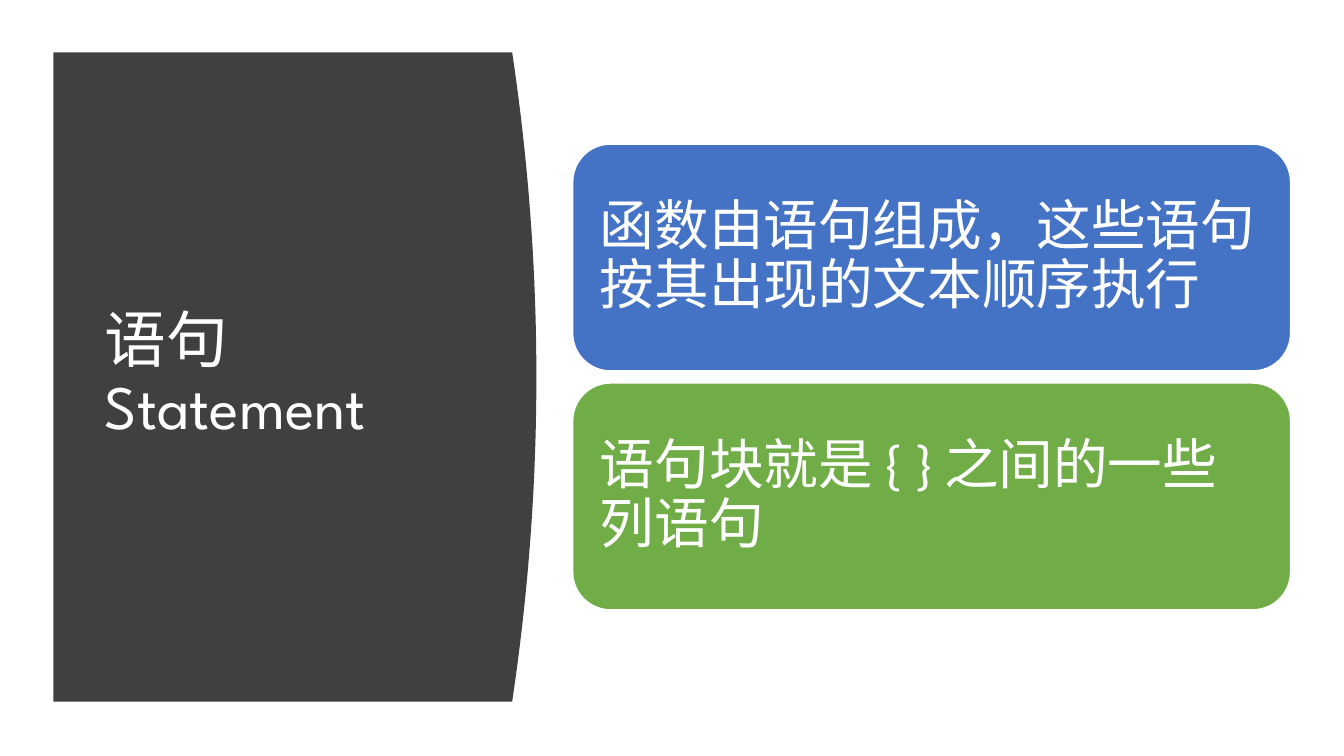
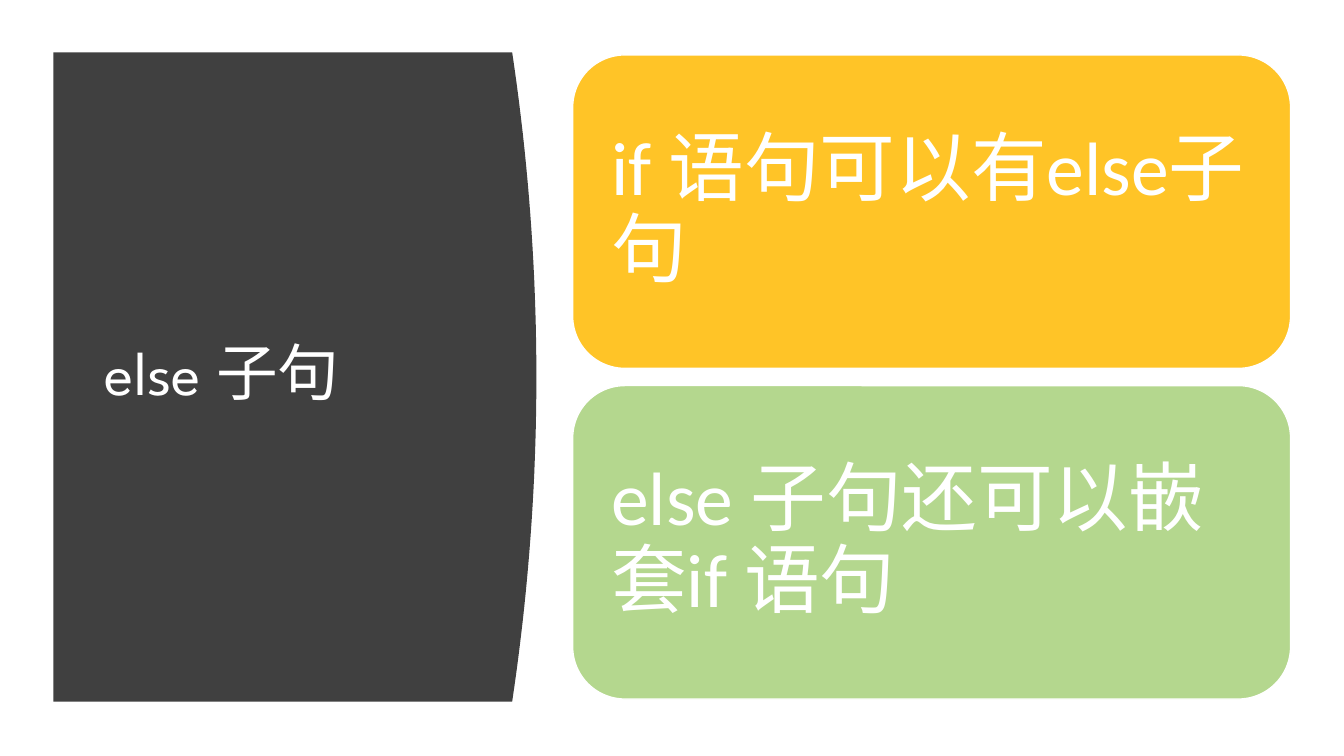
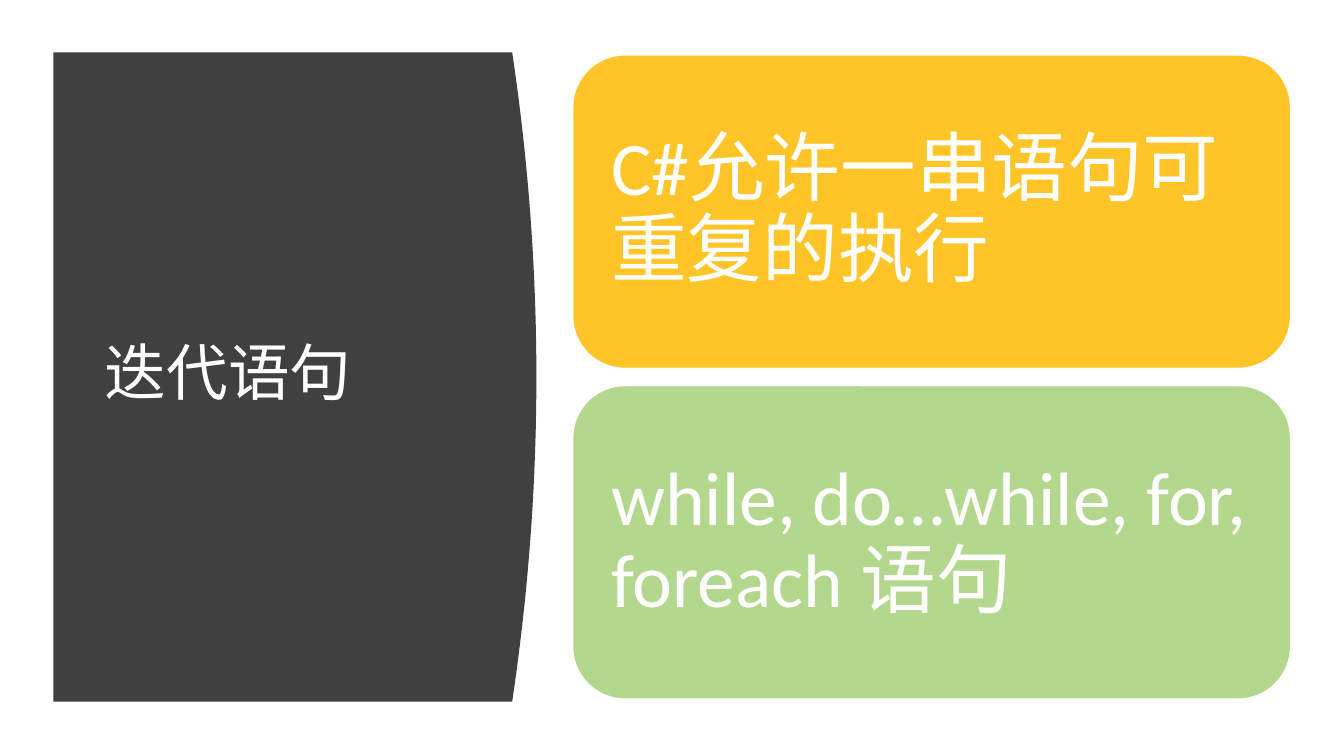
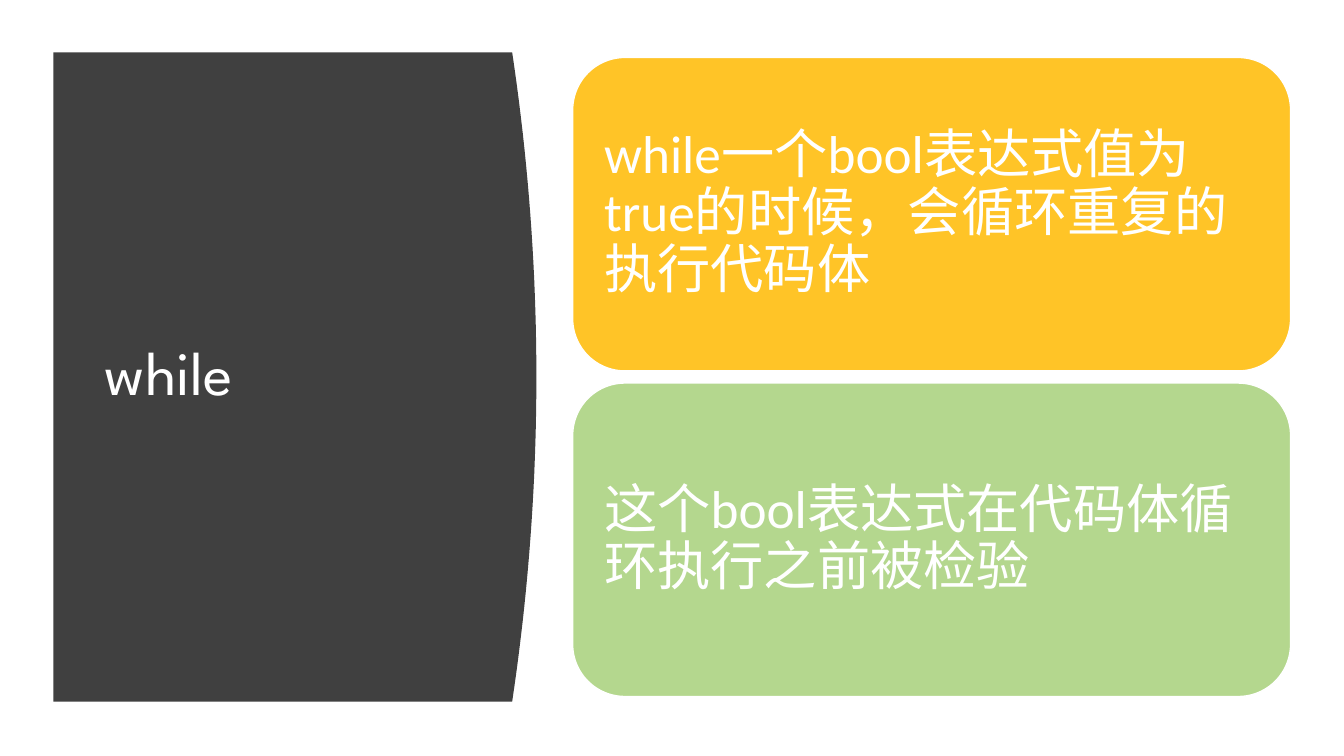
from pptx import Presentation
from pptx.dml.color import RGBColor
from pptx.enum.shapes import MSO_SHAPE as Preset
from pptx.enum.text import MSO_ANCHOR as Anchor, MSO_AUTO_SIZE as AutoSize, PP_ALIGN as Align
from pptx.util import Inches, Pt

COLORS = {
    "panel": "404040",
    "text": "FFFFFF",
    "blue": "4472C4",
    "green": "70AD47",
    "yellow": "FFC427",
    "lime": "B4D78E",
}
TITLE_FONT = "League Spartan"
BODY_FONT = "Calibri"
MIDDLE = 3.74  # vertical centre of the panel and of the cards
TITLE_ONLY = 5

SLIDES = [
    dict(title="语句 Statement", fills=("blue", "green"),
         texts=("函数由语句组成，这些语句按其出现的文本顺序执行",
                "语句块就是 { } 之间的一些列语句"),
         height=2.25, gap=0.12, size=39, inset=0.16),
    dict(title="else 子句", fills=("yellow", "lime"),
         texts=("if 语句可以有else子句", "else 子句还可以嵌套if 语句"),
         height=3.11, gap=0.17, size=54, inset=0.23),
    dict(title="迭代语句", fills=("yellow", "lime"),
         texts=("C#允许一串语句可重复的执行", "while, do…while, for, foreach 语句"),
         height=3.11, gap=0.17, size=54, inset=0.23),
    dict(title="while", fills=("yellow", "lime"),
         texts=("while一个bool表达式值为true的时候，会循环重复的执行代码体",
                "这个bool表达式在代码体循环执行之前被检验"),
         height=3.11, gap=0.12, size=38, inset=0.16),
]


def rgb(name):
    return RGBColor.from_string(COLORS[name])


def write_text(shape, text, *, size, font, inset_x, inset_y):
    frame = shape.text_frame
    frame.word_wrap = True
    frame.auto_size = AutoSize.NONE
    frame.vertical_anchor = Anchor.MIDDLE
    frame.margin_left = frame.margin_right = Inches(inset_x)
    frame.margin_top = frame.margin_bottom = Inches(inset_y)
    frame.text = text
    paragraph = frame.paragraphs[0]
    paragraph.alignment = Align.LEFT
    paragraph.line_spacing = 0.9
    paragraph.font.size = Pt(size)
    paragraph.font.name = font
    paragraph.font.color.rgb = rgb("text")


def paint(shape, fill):
    shape.shadow.inherit = False
    shape.fill.solid()
    shape.fill.fore_color.rgb = rgb(fill)


def add_panel(slide):
    """Draw the dark panel, whose right edge bulges as a parabola."""
    left, corner, bulge, half_height, steps = 0.53, 5.08, 0.24, 3.22, 40
    edge = []
    for step in range(steps + 1):
        offset = 2 * step / steps - 1
        edge.append((Inches(corner + bulge * (1 - offset ** 2)),
                     Inches(MIDDLE + half_height * offset)))
    top, bottom = Inches(MIDDLE - half_height), Inches(MIDDLE + half_height)
    builder = slide.shapes.build_freeform(Inches(left), top)
    builder.add_line_segments(edge + [(Inches(left), bottom)], close=True)
    panel = builder.convert_to_shape()
    paint(panel, "panel")
    panel.line.fill.background()


def set_title(slide, text):
    title = slide.shapes.title
    title.left, title.top = Inches(0.94), Inches(1.11)
    title.width, title.height = Inches(3.74), Inches(5.24)
    write_text(title, text, size=44, font=TITLE_FONT, inset_x=0.1, inset_y=0.05)


def add_cards(slide, texts, fills, height, gap, size, inset):
    """Stack the cards with equal gaps around the middle line."""
    top = MIDDLE - (len(texts) * (height + gap) - gap) / 2
    for index, (text, fill) in enumerate(zip(texts, fills)):
        card = slide.shapes.add_shape(
            Preset.ROUNDED_RECTANGLE, Inches(5.68),
            Inches(top + index * (height + gap)), Inches(7.12), Inches(height))
        paint(card, fill)
        card.line.color.rgb = rgb("text")
        card.line.width = Pt(1)
        write_text(card, text, size=size, font=BODY_FONT, inset_x=inset, inset_y=inset)


def add_topic_slide(presentation, title, **cards):
    slide = presentation.slides.add_slide(presentation.slide_layouts[TITLE_ONLY])
    add_panel(slide)
    # The title placeholder comes first; lift it above the panel.
    slide.shapes._spTree.append(slide.shapes.title._element)
    set_title(slide, title)
    add_cards(slide, **cards)


def main():
    presentation = Presentation()
    presentation.slide_width = Inches(13.33)
    presentation.slide_height = Inches(7.5)
    for content in SLIDES:
        add_topic_slide(presentation, **content)
    presentation.save("out.pptx")


if __name__ == "__main__":
    main()
